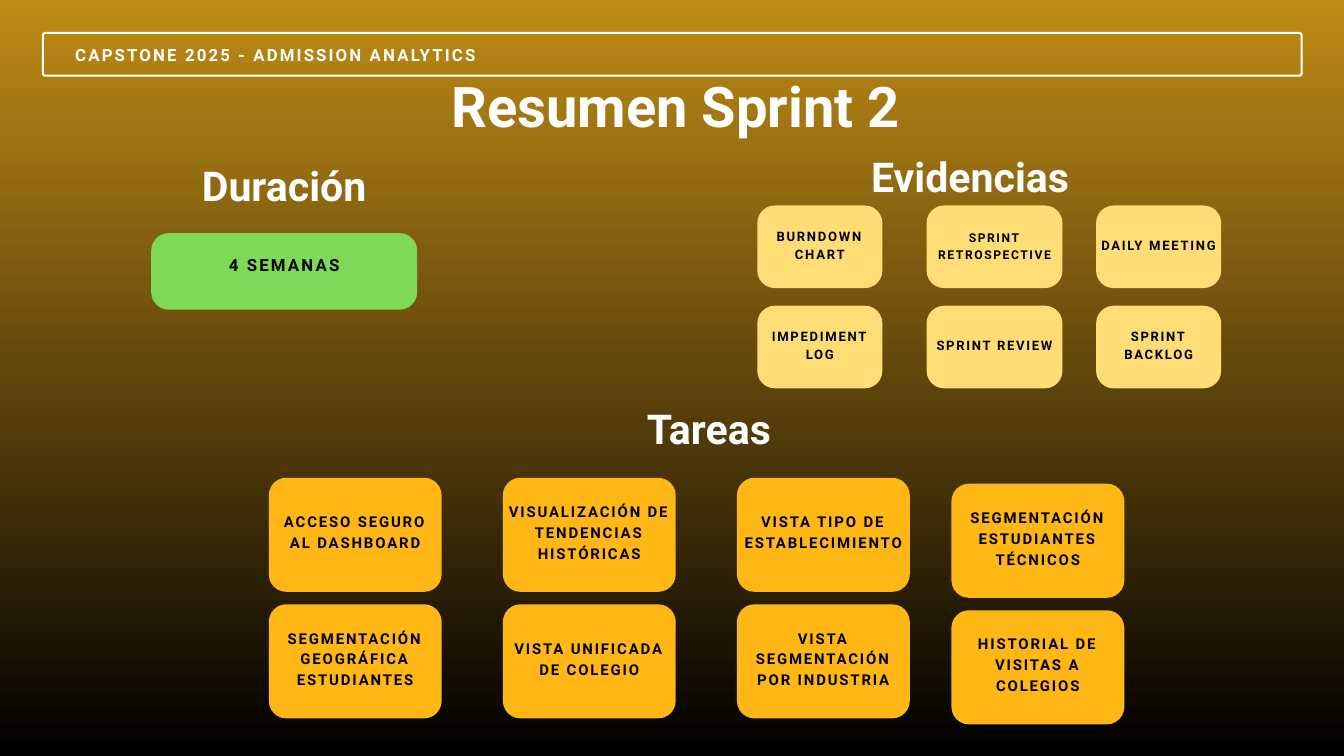
from dataclasses import dataclass

from pptx import Presentation
from pptx.dml.color import RGBColor
from pptx.enum.shapes import MSO_SHAPE
from pptx.enum.text import MSO_ANCHOR, PP_ALIGN
from pptx.util import Pt


@dataclass(frozen=True)
class Style:
    size: float
    line: float
    tracking: float = 0
    color: str = "FFFFFF"


class Theme:
    font = "Roboto"
    white, black, gold = "FFFFFF", "000000", "BF8B16"
    green, cream, amber = "7ED957", "FFDD76", "FFB716"
    frame_line = 2.25
    frame_radius = 2.5
    card_radius = 18.7
    card_inset = 4.5
    banner = Style(18, 25.2, 2.3)
    title = Style(60, 60.6)
    heading = Style(44, 44.4)
    duration = Style(18, 25.2, 2.3, black)
    evidence = Style(14, 19.6, 1.8, black)
    evidence_small = Style(13, 18.2, 1.7, black)
    task = Style(16, 22.4, 2, black)


def add_text(shapes, box, text, style, align=PP_ALIGN.CENTER, anchor=MSO_ANCHOR.TOP, inset=0):
    frame = shapes.add_textbox(*map(Pt, box)).text_frame
    frame.word_wrap = True
    frame.vertical_anchor = anchor
    frame.margin_left = frame.margin_right = Pt(inset)
    frame.margin_top = frame.margin_bottom = Pt(inset)
    paragraph = frame.paragraphs[0]
    paragraph.alignment = align
    paragraph.line_spacing = Pt(style.line)
    run = paragraph.add_run()
    run.text = text
    if style.tracking:
        run._r.get_or_add_rPr().set("spc", str(round(style.tracking * 100)))
    font = paragraph.font
    font.name, font.size, font.bold = Theme.font, Pt(style.size), True
    font.color.rgb = RGBColor.from_string(style.color)


def add_rounded(shapes, box, radius):
    rounded = shapes.add_shape(MSO_SHAPE.ROUNDED_RECTANGLE, *map(Pt, box))
    rounded.adjustments[0] = radius / min(box[2:])
    rounded.shadow.inherit = False
    return rounded


def add_card(slide, box, text, color, style, lift):
    """Group a filled card with its label, whose box starts `lift` above the card."""
    left, top, width, height = box
    shapes = slide.shapes.add_group_shape().shapes
    card = add_rounded(shapes, box, Theme.card_radius)
    card.fill.solid()
    card.fill.fore_color.rgb = RGBColor.from_string(color)
    card.line.fill.background()
    add_text(shapes, (left, top - lift, width, height + lift), text, style,
             anchor=MSO_ANCHOR.MIDDLE, inset=Theme.card_inset)


def add_background(slide):
    fill = slide.background.fill
    fill.gradient()
    fill.gradient_angle = 90
    for stop, color in zip(fill.gradient_stops, (Theme.black, Theme.gold)):
        stop.color.rgb = RGBColor.from_string(color)


def add_banner(slide, box, text):
    left, top, width, _ = box
    frame = add_rounded(slide.shapes, box, Theme.frame_radius)
    frame.fill.background()
    frame.line.color.rgb = RGBColor.from_string(Theme.white)
    frame.line.width = Pt(Theme.frame_line)
    add_text(slide.shapes, (left + 34.6, top + 9.3, width - 69.2, 25.2), text,
             Theme.banner, PP_ALIGN.LEFT)


def add_heading(slide, left, top, text):
    add_text(slide.shapes, (left, top, 528.5, 46), text, Theme.heading)


def add_duration(slide, left, top):
    add_heading(slide, left, top, "Duración")
    add_card(slide, (left + 121.7, top + 69.1, 285, 82), "4 SEMANAS",
             Theme.green, Theme.duration, lift=17.3)


def add_evidence(slide, left, top):
    add_heading(slide, left, top, "Evidencias")
    columns = (
        (36, 134, ("BURNDOWN CHART", "IMPEDIMENT LOG")),
        (217.4, 145.6, ("SPRINT RETROSPECTIVE", "SPRINT REVIEW")),
        (399, 134, ("DAILY MEETING", "SPRINT BACKLOG")),
    )
    for offset, width, labels in columns:
        for row, label in enumerate(labels):
            small = label == "SPRINT RETROSPECTIVE"
            add_card(slide, (left + offset, top + 49.6 + row * 107.4, width, 88.5), label,
                     Theme.cream, Theme.evidence_small if small else Theme.evidence,
                     lift=4.3 if small else 6.3)


def add_tasks(slide, left, top):
    add_heading(slide, left + 207.4, top, "Tareas")
    columns = (
        (0, 0, ("ACCESO SEGURO AL DASHBOARD", "SEGMENTACIÓN GEOGRÁFICA ESTUDIANTES")),
        (250.8, 0, ("VISUALIZACIÓN DE TENDENCIAS HISTÓRICAS", "VISTA UNIFICADA DE COLEGIO")),
        (501.6, 0, ("VISTA TIPO DE ESTABLECIMIENTO", "VISTA SEGMENTACIÓN POR INDUSTRIA")),
        (731.4, 6.4, ("SEGMENTACIÓN ESTUDIANTES TÉCNICOS", "HISTORIAL DE VISITAS A COLEGIOS")),
    )
    for offset, drop, labels in columns:
        for row, label in enumerate(labels):
            box = (left + offset, top + 71.3 + drop + row * 135.6, 185.2, 122.2)
            add_card(slide, box, label, Theme.amber, Theme.task, lift=8.3)


def main():
    presentation = Presentation()
    presentation.slide_width, presentation.slide_height = Pt(1440), Pt(810)
    slide = presentation.slides.add_slide(presentation.slide_layouts[6])
    add_background(slide)
    add_banner(slide, (46, 35.3, 1348.6, 45.8), "CAPSTONE 2025 - ADMISSION ANALYTICS")
    add_text(slide.shapes, (363.6, 87.8, 720.7, 63.4), "Resumen Sprint 2", Theme.title)
    add_duration(slide, 40.3, 180.7)
    add_evidence(slide, 775.4, 170.6)
    add_tasks(slide, 288, 440.6)
    presentation.save("out.pptx")


if __name__ == "__main__":
    main()
